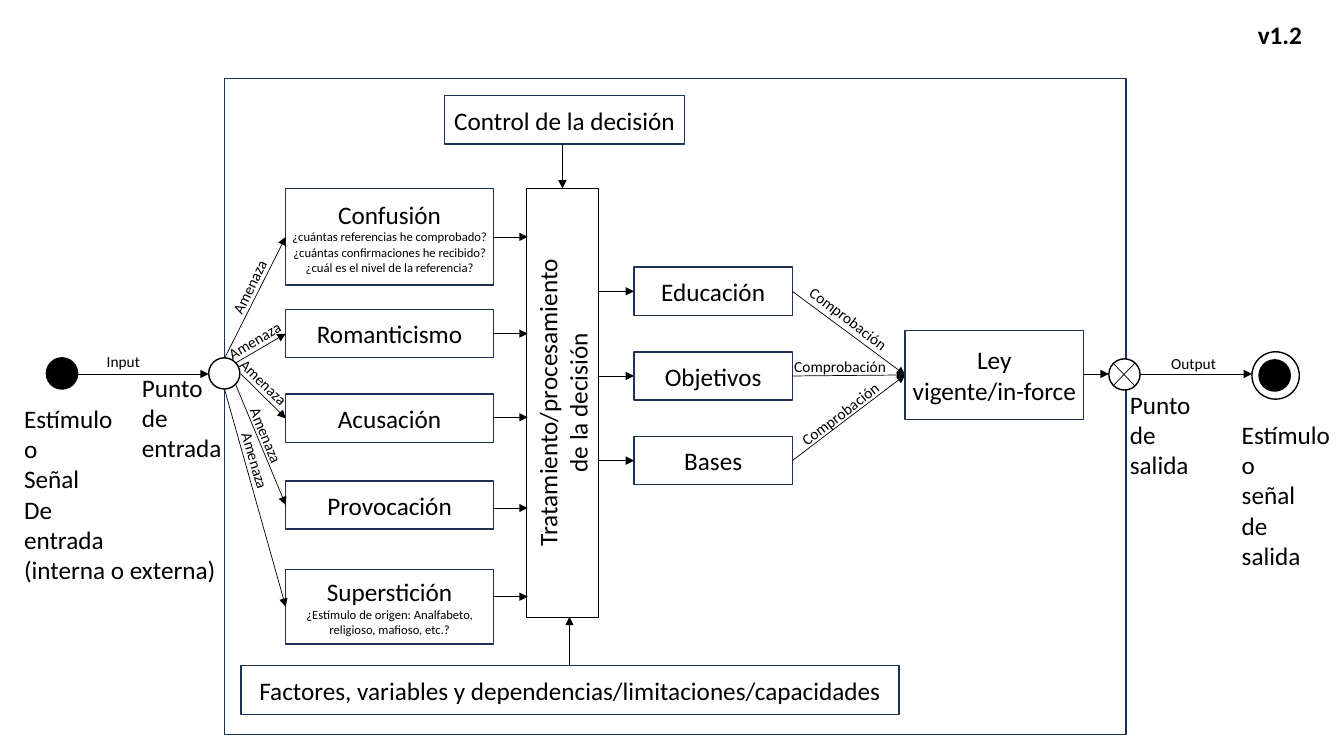
from lxml import etree
from pptx import Presentation
from pptx import util as u
from pptx.dml import color
from pptx.enum import shapes, text
from pptx.oxml import ns

NAVY = color.RGBColor(0x1E, 0x32, 0x56)
BLACK = color.RGBColor(0, 0, 0)
WHITE = color.RGBColor(255, 255, 255)
CELL = u.Inches(0.1)
COLUMNS, ROWS = 133.33, 75
RECT = shapes.MSO_SHAPE.RECTANGLE
OVAL = shapes.MSO_SHAPE.OVAL
CENTER = text.PP_ALIGN.CENTER
LEFT = text.PP_ALIGN.LEFT
AXIS = 37.1
THREAT_COL, THREAT_WIDTH = 28.35, 20.6
CHECK_COL, CHECK_WIDTH, CHECK_ROW, CHECK_STEP = 62.9, 15.7, 26.5, 8.4
BOX_HEIGHT = 4.8
PROCESS_LEFT, PROCESS_RIGHT = 52.35, 59.4
LAW_COL = 89.8

CONFUSION = ("Confusión\n¿cuántas referencias he comprobado?\n"
             "¿cuántas confirmaciones he recibido?\n¿cuál es el nivel de la referencia?")
SUPERSTITION = "Superstición\n¿Estímulo de origen: Analfabeto, religioso, mafioso, etc.?"

THREATS = [
    (CONFUSION, 18.7, 9.6, 23.5, (22.3, 35.5), (20.9, 27), 296),
    ("Romanticismo", 30.7, BOX_HEIGHT, 33.1, (23.4, 36), (21.4, 32.3), 329.6),
    ("Acusación", 39.1, BOX_HEIGHT, 41.4, (23.9, AXIS), (22.3, 36.5), 44.2),
    ("Provocación", 47.7, BOX_HEIGHT, 50.4, (23.4, 38.2), (22.5, 41.8), 67.5),
    (SUPERSTITION, 56.5, 7.4, 59.2, (22.3, 38.7), (21.4, 44.3), 73.6),
]
CHECKS = [
    ("Educación", (78.6, 30.2), 37.2),
    ("Objetivos", (77.8, 34.9), 0),
    ("Bases", (77.8, 39.6), 322.6),
]
CAPTIONS = [
    ("Estímulo\no\nSeñal\nDe\nentrada\n(interna o externa)", 1.4, 39.5, 21.2, 19.2),
    ("Punto\nde\nentrada", 13.1, 36.4, 10, 10.1),
    ("Punto\nde\nsalida", 111.1, 38.1, 8.1, 10.1),
    ("Estímulo\no\nseñal\nde\nsalida", 122.2, 41.1, 10.9, 16.2),
]


def cells(*counts):
    """Turn counts of grid cells into lengths."""
    return [round(count * CELL) for count in counts]


def write(frame, words, size, align, bold=False):
    """Fill a text frame, with the lines after a heading passed as size pair."""
    heading, detail = size
    frame.text = words
    for index, line in enumerate(frame.paragraphs):
        line.alignment = align
        look = {"name": "Calibri", "size": u.Pt(detail if index else heading), "bold": bold}
        for key, value in look.items():
            setattr(line.runs[0].font, key, value)
        line.runs[0].font.color.rgb = BLACK


def add_box(slide, kind, place, line=NAVY, weight=1, fill=None, words="", detail=18):
    """Draw an outlined shape with optional centred wording."""
    box = slide.shapes.add_shape(kind, *cells(*place))
    box.shadow.inherit = False
    if fill is None:
        box.fill.background()
    else:
        box.fill.solid()
        box.fill.fore_color.rgb = fill
    box.line.color.rgb = line
    box.line.width = u.Pt(weight)
    if words:
        layout = {"word_wrap": True, "vertical_anchor": text.MSO_ANCHOR.MIDDLE,
                  "margin_left": u.Inches(0.04), "margin_right": u.Inches(0.04),
                  "margin_top": 0, "margin_bottom": 0}
        for key, value in layout.items():
            setattr(box.text_frame, key, value)
        write(box.text_frame, words, (18, detail), CENTER)
    return box


def add_label(slide, words, place, size=18, angle=0, bold=False):
    """Place free-standing wording, turned by an angle."""
    label = slide.shapes.add_textbox(*cells(*place))
    label.rotation = angle
    label.text_frame.word_wrap = False
    label.text_frame.auto_size = text.MSO_AUTO_SIZE.SHAPE_TO_FIT_TEXT
    write(label.text_frame, words, (size, size), LEFT, bold)


def add_link(slide, start, end, arrow=True):
    """Draw a thin straight line, by default with an arrowhead at its end."""
    link = slide.shapes.add_connector(shapes.MSO_CONNECTOR.STRAIGHT, *cells(*start, *end))
    link.line.color.rgb = BLACK
    link.line.width = u.Pt(0.5)
    outline = link._element.spPr
    if arrow:
        etree.SubElement(outline.find(ns.qn("a:ln")), ns.qn("a:tailEnd"), type="triangle")
    etree.SubElement(outline, ns.qn("a:effectLst"))


def add_threats(slide):
    """Draw the threats with their links from the entry and to the process."""
    for words, row, height, exit_row, start, label, angle in THREATS:
        add_box(slide, RECT, (THREAT_COL, row, THREAT_WIDTH, height), words=words, detail=9)
        add_link(slide, start, (THREAT_COL, row + height / 2))
        add_label(slide, "Amenaza", (*label, 7.8, 2.9), 11, angle)
        add_link(slide, (THREAT_COL + THREAT_WIDTH, exit_row), (PROCESS_LEFT, exit_row))


def add_checks(slide):
    """Draw the checks with their links from the process and to the law."""
    for index, (words, label, angle) in enumerate(CHECKS):
        row = CHECK_ROW + index * CHECK_STEP
        middle = row + BOX_HEIGHT / 2
        add_box(slide, RECT, (CHECK_COL, row, CHECK_WIDTH, BOX_HEIGHT), words=words)
        add_link(slide, (PROCESS_RIGHT, middle), (CHECK_COL, middle))
        add_link(slide, (CHECK_COL + CHECK_WIDTH, middle), (LAW_COL, 37.2))
        add_label(slide, "Comprobación", (*label, 11.2, 2.9), 11, angle)


def add_signals(slide):
    """Draw the start, entry, exit and end circles with their links and captions."""
    for column, row, width, fill in [(4.6, 35.5, 3.1, BLACK), (124.9, 35.7, 3.1, BLACK),
                                     (124.2, 34.9, 4.7, None), (20.7, 35.5, 3.1, WHITE),
                                     (110, 35.6, 3.1, WHITE)]:
        add_box(slide, OVAL, (column, row, width, width), BLACK, fill=fill)
    add_link(slide, (110.4, 36), (112.6, 38.3), arrow=False)
    add_link(slide, (110.4, 38.3), (112.6, 36), arrow=False)
    for start, end in [(7.7, 20.7), (107.5, 110), (113.1, 124.2)]:
        add_link(slide, (start, AXIS), (end, AXIS))
    for words, *place in CAPTIONS:
        add_label(slide, words, place)
    add_label(slide, "Input", (9.6, 34.4, 5.3, 2.9), 11)
    add_label(slide, "Output", (115.2, 34.6, 6.5, 2.9), 11)


def main():
    """Build the decision diagram and save it."""
    deck = Presentation()
    deck.slide_width, deck.slide_height = cells(COLUMNS, ROWS)
    slide = deck.slides.add_slide(deck.slide_layouts[6])
    add_box(slide, RECT, (22.3, 7.8, 89.4, 65.1))
    add_signals(slide)
    process = add_box(slide, RECT, (34.5, 36.4, 42.6, 7.1), BLACK, 0.75,
                      words="Tratamiento/procesamiento\nde la decisión")
    process.rotation = 270
    add_threats(slide)
    add_checks(slide)
    add_box(slide, RECT, (LAW_COL, 32.8, 17.7, 8.8), words="Ley\nvigente/in-force")
    add_box(slide, RECT, (44.1, 9.5, 23.8, BOX_HEIGHT), words="Control de la decisión")
    add_box(slide, RECT, (23.9, 66, 65.3, 4.9),
            words="Factores, variables y dependencias/limitaciones/capacidades")
    add_link(slide, (55.8, 14.3), (55.8, 18.7))
    add_link(slide, (56.5, 66), (56.5, 61.2))
    add_label(slide, "v1.2", (123.8, 1.4, 6.4, 4), bold=True)
    deck.save("out.pptx")


if __name__ == "__main__":
    main()
